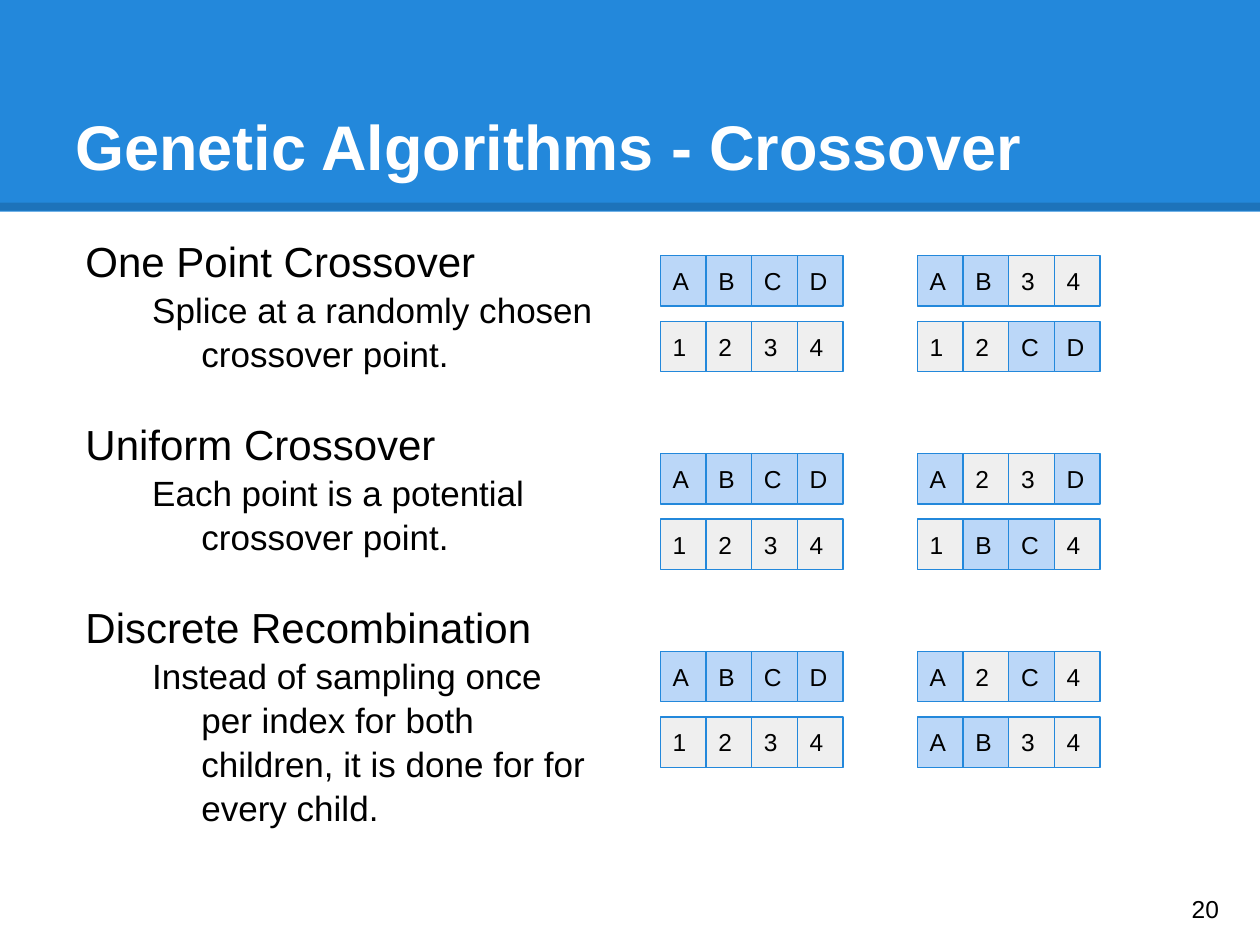
from lxml import etree
from pptx import Presentation, util as u
from pptx.dml.color import RGBColor
from pptx.enum import shapes, text
from pptx.oxml.ns import qn

HUES = {"blue": "2388DB", "gene": "BBD7F8", "digit": "EFEFEF",
        "white": "FFFFFF", "black": "000000"}
FONT = "Arial"
PAD = u.Inches(0.1)

TOPICS = [
    ("One Point Crossover", "Splice at a randomly chosen crossover point."),
    ("Uniform Crossover", "Each point is a potential crossover point."),
    ("Discrete Recombination",
     "Instead of sampling once per index for both children, "
     "it is done for for every child."),
]
PARENTS = ("ABCD", "1234")
CHILDREN = [("AB34", "12CD"), ("A23D", "1BC4"), ("A2C4", "AB34")]


def hue(name):
    return RGBColor.from_string(HUES[name])


def set_font(para, size, color="black", bold=False):
    font = para.font
    font.name, font.size, font.bold = FONT, u.Pt(size), bold
    font.color.rgb = hue(color)


def set_frame(shape, anchor):
    frame = shape.text_frame
    frame.word_wrap = True
    frame.vertical_anchor = anchor
    frame.margin_left = frame.margin_right = PAD
    frame.margin_top = frame.margin_bottom = PAD
    return frame


def add_rect(slide, box, fill):
    rect = slide.shapes.add_shape(shapes.MSO_SHAPE.RECTANGLE,
                                  *map(u.Inches, box))
    rect.shadow.inherit = False
    rect.fill.solid()
    rect.fill.fore_color.rgb = hue(fill)
    rect.line.fill.background()
    return rect


def add_label(slide, box, words, size, anchor, color="black", bold=False):
    label = slide.shapes.add_textbox(*map(u.Inches, box))
    para = set_frame(label, anchor).paragraphs[0]
    para.text = words
    set_font(para, size, color, bold)


def add_header(slide, box, title):
    left, top, width, height = box
    add_rect(slide, box, "blue")
    # Translucent rule along the lower edge
    edge = top + height - 0.04
    rule = slide.shapes.add_connector(
        shapes.MSO_CONNECTOR.STRAIGHT, u.Inches(left), u.Inches(edge),
        u.Inches(left + width), u.Inches(edge))
    rule.line.width = u.Pt(4.5)
    rule.line.color.rgb = hue("black")
    props = rule._element.spPr
    tint = props.find(".//" + qn("a:srgbClr"))
    etree.SubElement(tint, qn("a:alpha"), val="15000")
    etree.SubElement(props, qn("a:effectLst"))
    add_label(slide, (left + 0.5, top + 0.3, width - 1, 1.25), title, 36,
              text.MSO_ANCHOR.BOTTOM, "white", True)


def add_topics(slide, box):
    body = slide.shapes.add_textbox(*map(u.Inches, box))
    frame = set_frame(body, text.MSO_ANCHOR.TOP)
    for i, topic in enumerate(TOPICS):
        for level, words in enumerate(topic):
            first = i == level == 0
            para = frame.paragraphs[0] if first else frame.add_paragraph()
            para.text = words
            para.level = level
            para.line_spacing = 1.05
            if i and not level:
                para.space_before = u.Pt(24)
            # Hanging indent
            props = para._p.get_or_add_pPr()
            props.set("marL", str(u.Inches((0.5, 1)[level])))
            props.set("indent", str(u.Inches((-0.42, -0.39)[level])))
            set_font(para, (24, 20)[level])


def add_genome(slide, box, genes):
    left, top, width, height = box
    step = width / len(genes)
    for i, gene in enumerate(genes):
        fill = "gene" if gene.isalpha() else "digit"
        cell = add_rect(slide, (left + i * step, top, step, height), fill)
        cell.line.color.rgb = hue("blue")
        cell.line.width = u.Pt(0.75)
        para = set_frame(cell, text.MSO_ANCHOR.MIDDLE).paragraphs[0]
        para.text = gene
        para.alignment = text.PP_ALIGN.LEFT
        set_font(para, 14)


def add_grid(slide, box):
    left, top, width, height = box
    wide, tall = 1.45, 0.4
    row = 0.52
    pitch = (height - row - tall) / (len(CHILDREN) - 1)
    for i, kids in enumerate(CHILDREN):
        # Parents on the left, children on the right
        for x, pair in ((left, PARENTS), (left + width - wide, kids)):
            for j, genes in enumerate(pair):
                y = top + i * pitch + j * row
                add_genome(slide, (x, y, wide, tall), genes)


def main():
    deck = Presentation()
    deck.slide_width, deck.slide_height = u.Inches(10), u.Inches(7.5)
    slide = deck.slides.add_slide(deck.slide_layouts[6])
    add_header(slide, (0, 0, 10, 1.68), "Genetic Algorithms - Crossover")
    add_topics(slide, (0.5, 1.75, 4.37, 5.43))
    add_grid(slide, (5.24, 2.03, 3.49, 4.06))
    # Slide number
    add_label(slide, (9.36, 6.93, 0.6, 0.57), "20", 14,
              text.MSO_ANCHOR.MIDDLE)
    deck.save("out.pptx")


if __name__ == "__main__":
    main()
